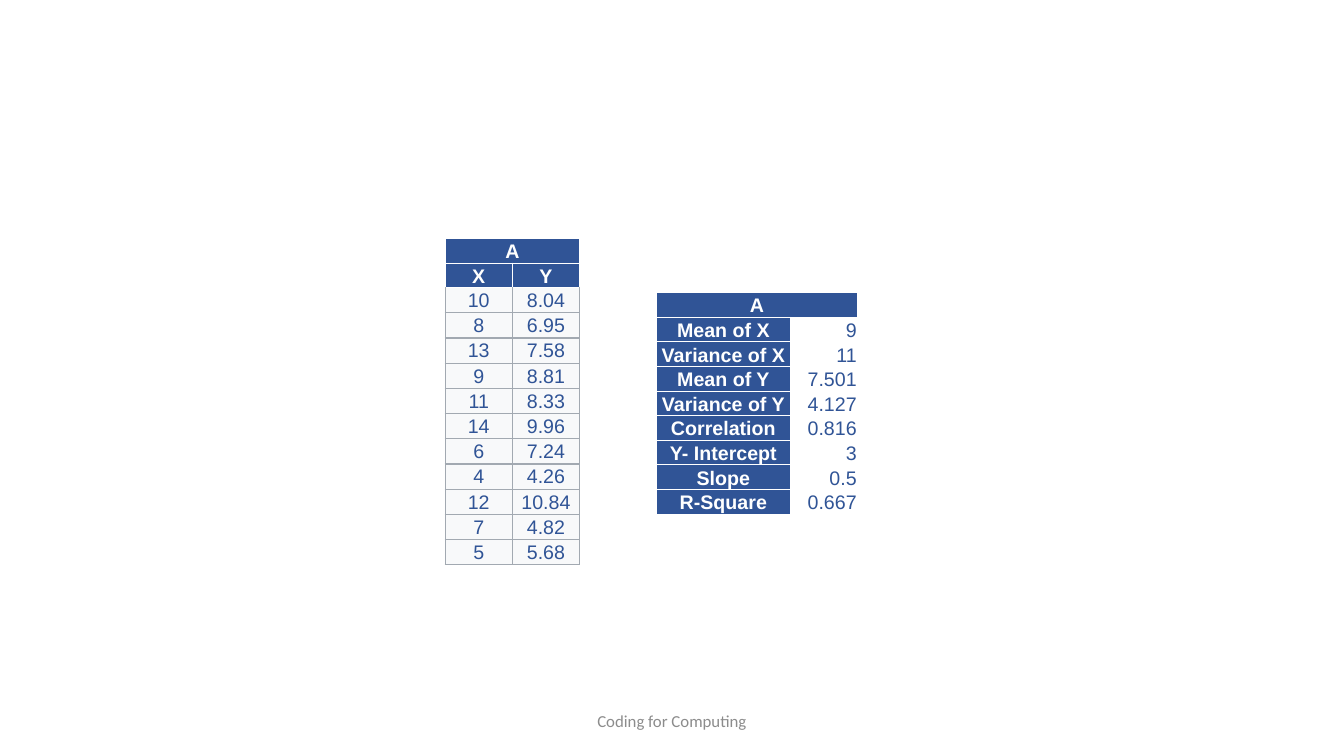
from dataclasses import dataclass

from lxml import etree
from pptx import Presentation
from pptx.dml.color import RGBColor
from pptx.enum.text import MSO_ANCHOR, PP_ALIGN
from pptx.oxml.ns import qn
from pptx.util import Pt

PX = 9525
CENTER, RIGHT = PP_ALIGN.CENTER, PP_ALIGN.RIGHT
MIDDLE, BOTTOM = MSO_ANCHOR.MIDDLE, MSO_ANCHOR.BOTTOM
BLANK_LAYOUT = 6
SIDES = ("L", "R", "T", "B")


@dataclass(frozen=True)
class Theme:
    blue: str = "305496"
    white: str = "FFFFFF"
    pale: str = "F8F9FA"
    rule: str = "A2A9B1"
    footer: str = "8C8C8C"
    table_font: str = "Arial"
    footer_font: str = "Calibri"
    table_size: int = 14
    footer_size: int = 12


@dataclass(frozen=True)
class CellStyle:
    color: str
    fill: str | None
    border: tuple
    bold: bool = False
    align: int = CENTER
    anchor: int = BOTTOM


THEME = Theme()
THIN_WHITE = (THEME.white, 0.5)
GREY_RULE = (THEME.rule, 1)
HEADER = CellStyle(THEME.white, THEME.blue, THIN_WHITE, bold=True)
SAMPLE = CellStyle(THEME.blue, THEME.pale, GREY_RULE, anchor=MIDDLE)
RESULT = CellStyle(THEME.blue, None, THIN_WHITE, align=RIGHT)

SAMPLES = [
    ("10", "8.04"), ("8", "6.95"), ("13", "7.58"), ("9", "8.81"),
    ("11", "8.33"), ("14", "9.96"), ("6", "7.24"), ("4", "4.26"),
    ("12", "10.84"), ("7", "4.82"), ("5", "5.68"),
]
STATISTICS = [
    ("Mean of X", "9"), ("Variance of X", "11"), ("Mean of Y", "7.501"),
    ("Variance of Y", "4.127"), ("Correlation", "0.816"),
    ("Y- Intercept", "3"), ("Slope", "0.5"), ("R-Square", "0.667"),
]


def add_span(para, text, font, size, color, bold=False):
    span = para.add_run()
    span.text = text
    span.font.name = font
    span.font.size = Pt(size)
    span.font.bold = bold
    span.font.color.rgb = RGBColor.from_string(color)


def set_border(cell, side, border):
    color, width = border
    properties = cell._tc.get_or_add_tcPr()
    tag = qn(f"a:ln{side}")
    for line in properties.findall(tag):
        properties.remove(line)
    line = etree.Element(tag, w=str(Pt(width)))
    fill = etree.SubElement(line, qn("a:solidFill"))
    etree.SubElement(fill, qn("a:srgbClr"), val=color)
    properties.insert(SIDES.index(side), line)


def format_cell(cell, text, style):
    cell.margin_left = cell.margin_right = cell.margin_top = PX
    cell.margin_bottom = 0
    cell.vertical_anchor = style.anchor
    if style.fill:
        cell.fill.solid()
        cell.fill.fore_color.rgb = RGBColor.from_string(style.fill)
    else:
        cell.fill.background()
    for side in SIDES:
        set_border(cell, side, style.border)
    if text:
        para = cell.text_frame.paragraphs[0]
        para.alignment = style.align
        add_span(para, text, THEME.table_font, THEME.table_size, style.color, style.bold)


def add_grid(page, left, top, widths, heights, rows, style_rows):
    table = page.shapes.add_table(
        len(rows), len(widths), left * PX, top * PX, sum(widths) * PX, sum(heights) * PX
    ).table
    table.first_row = table.horz_banding = False
    for column, width in zip(table.columns, widths):
        column.width = width * PX
    for row, height in zip(table.rows, heights):
        row.height = height * PX
    for row, texts, styles in zip(table.rows, rows, style_rows):
        for cell, text, style in zip(row.cells, texts, styles):
            format_cell(cell, text, style)
    table.cell(0, 0).merge(table.cell(0, 1))
    return table


def add_footer(page, text):
    box = page.shapes.add_textbox(424 * PX, 667 * PX, 432 * PX, 38 * PX)
    frame = box.text_frame
    frame.word_wrap = True
    frame.vertical_anchor = MIDDLE
    para = frame.paragraphs[0]
    para.alignment = CENTER
    add_span(para, text, THEME.footer_font, THEME.footer_size, THEME.footer)


def add_statistics(page):
    count = len(STATISTICS)
    add_grid(
        page, 625, 278, [128, 64], [24] + [23] * count,
        [("A", "")] + STATISTICS,
        [(HEADER, HEADER)] + [(HEADER, RESULT)] * count,
    )


def add_samples(page):
    count = len(SAMPLES)
    table = add_grid(
        page, 424, 227, [64, 64], [23] * 2 + [24] * count,
        [("A", ""), ("X", "Y")] + SAMPLES,
        [(HEADER, HEADER)] * 2 + [(SAMPLE, SAMPLE)] * count,
    )
    for cell in table.rows[2].cells:
        set_border(cell, "T", THIN_WHITE)


def main():
    deck = Presentation()
    deck.slide_width, deck.slide_height = 1280 * PX, 720 * PX
    page = deck.slides.add_slide(deck.slide_layouts[BLANK_LAYOUT])
    add_footer(page, "Coding for Computing")
    add_statistics(page)
    add_samples(page)
    deck.save("out.pptx")


if __name__ == "__main__":
    main()
